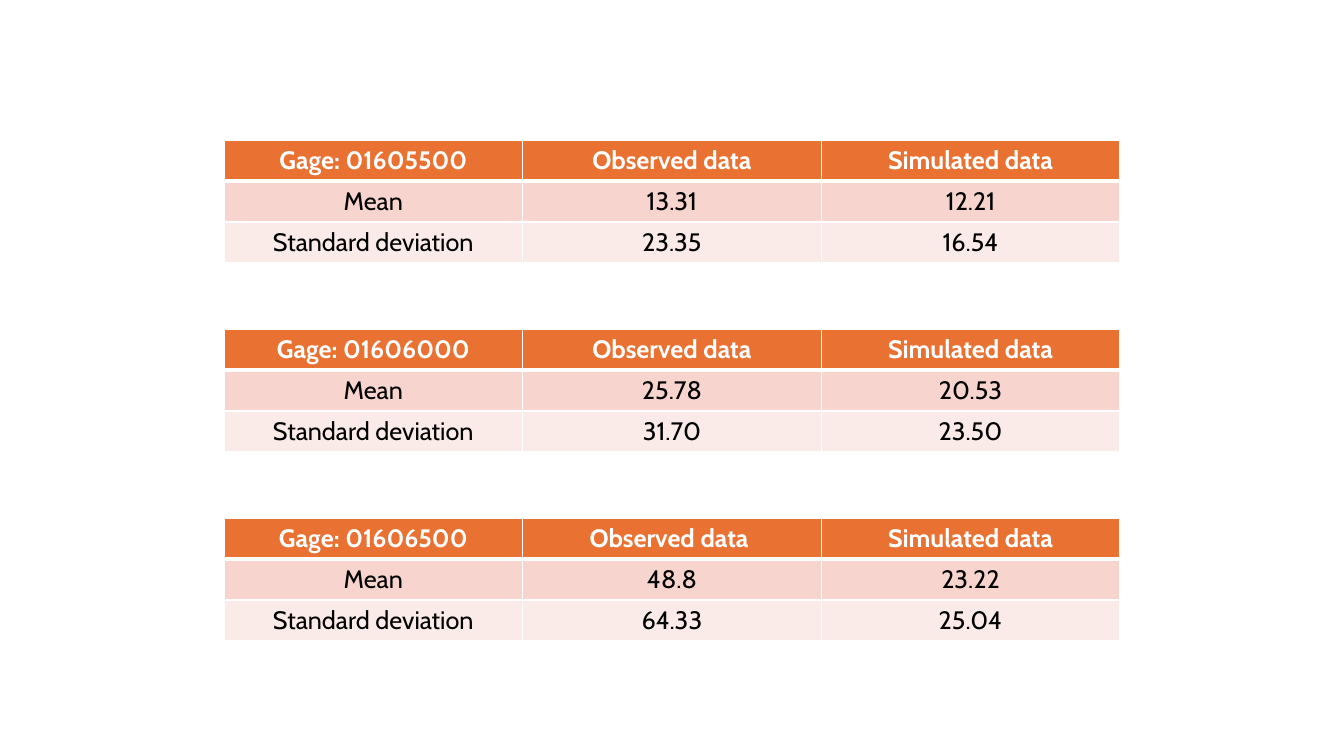
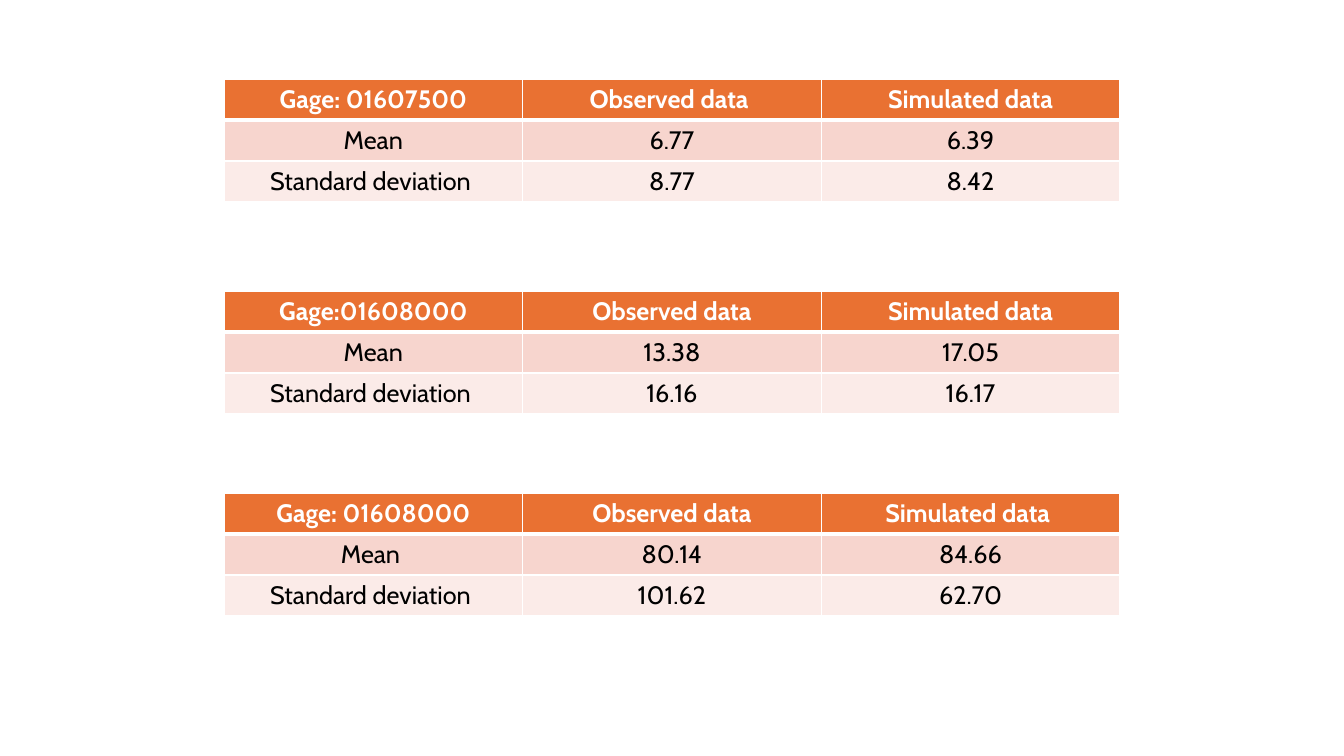
from lxml import etree
from pptx import Presentation
from pptx.dml.color import RGBColor
from pptx.enum.text import PP_ALIGN
from pptx.oxml.ns import qn
from pptx.util import Pt

PX = 914400 / 100.8
CENTER = PP_ALIGN.CENTER
FONT = "Cabin"
WHITE = RGBColor(0xFF, 0xFF, 0xFF)
BLACK = RGBColor(0x00, 0x00, 0x00)
ORANGE = RGBColor(0xE9, 0x71, 0x32)
PEACH = RGBColor(0xF7, 0xD5, 0xCE)
BLUSH = RGBColor(0xFB, 0xEB, 0xE8)
FILLS = [ORANGE, PEACH, BLUSH]
LEFT, WIDTH, ROW = 224, 896, 41

SLIDES = [
    [
        (140, [
            ["Gage: 01605500", "Observed data", "Simulated data"],
            ["Mean", "13.31", "12.21"],
            ["Standard deviation", "23.35", "16.54"],
        ]),
        (329, [
            ["Gage: 01606000", "Observed data", "Simulated data"],
            ["Mean", "25.78", "20.53"],
            ["Standard deviation", "31.70", "23.50"],
        ]),
        (518, [
            ["Gage: 01606500", "Observed data ", "Simulated data"],
            ["Mean", "48.8", "23.22"],
            ["Standard deviation", "64.33", "25.04"],
        ]),
    ],
    [
        (79, [
            ["Gage: 01607500", "Observed data ", "Simulated data"],
            ["Mean", "6.77", "6.39"],
            ["Standard deviation ", "8.77", "8.42"],
        ]),
        (291, [
            ["Gage:01608000", "Observed data", "Simulated data"],
            ["Mean", "13.38", "17.05"],
            ["Standard deviation ", "16.16", "16.17"],
        ]),
        (493, [
            ["Gage: 01608000", "Observed data", "Simulated data "],
            ["Mean ", "80.14", "84.66"],
            ["Standard deviation ", "101.62", "62.70"],
        ]),
    ],
]


def px(n):
    return round(n * PX)


def border(cell, row):
    props = cell._tc.get_or_add_tcPr()
    for side in "LRTB":
        thick = (row, side) in [(0, "B"), (1, "T")]
        line = etree.SubElement(props, qn(f"a:ln{side}"), w=str(Pt(3 if thick else 1)))
        fill = etree.SubElement(line, qn("a:solidFill"))
        etree.SubElement(fill, qn("a:srgbClr"), val=str(WHITE))


deck = Presentation()
deck.slide_width, deck.slide_height = px(1344), px(756)

for tables in SLIDES:
    slide = deck.slides.add_slide(deck.slide_layouts[6])
    for top, rows in tables:
        frame = slide.shapes.add_table(
            len(rows), len(rows[0]), px(LEFT), px(top), px(WIDTH), px(ROW * len(rows)))
        for r, texts in enumerate(rows):
            for c, text in enumerate(texts):
                cell = frame.table.cell(r, c)
                border(cell, r)
                cell.fill.solid()
                cell.fill.fore_color.rgb = FILLS[r]
                cell.text = text
                para = cell.text_frame.paragraphs[0]
                para.alignment = CENTER
                para.font.name = FONT
                para.font.size = Pt(18)
                para.font.bold = r == 0
                para.font.color.rgb = BLACK if r else WHITE

deck.save("out.pptx")
